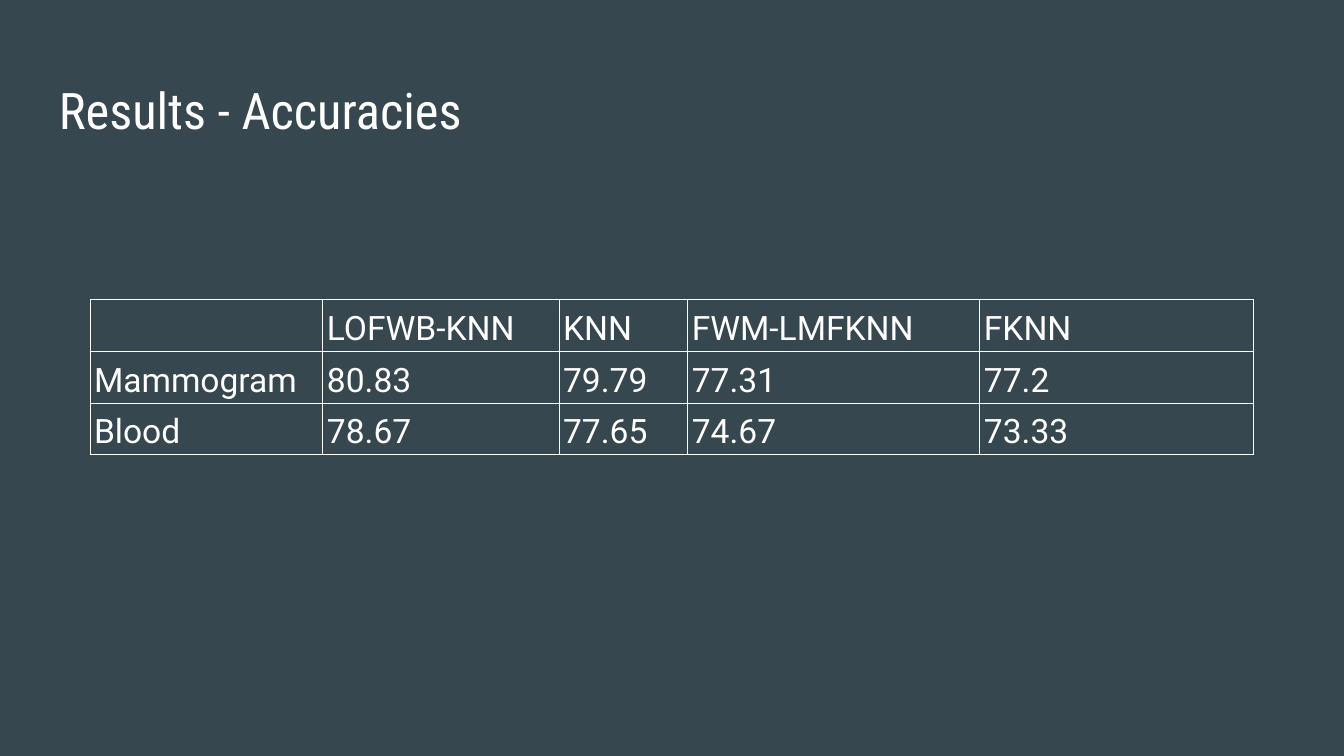
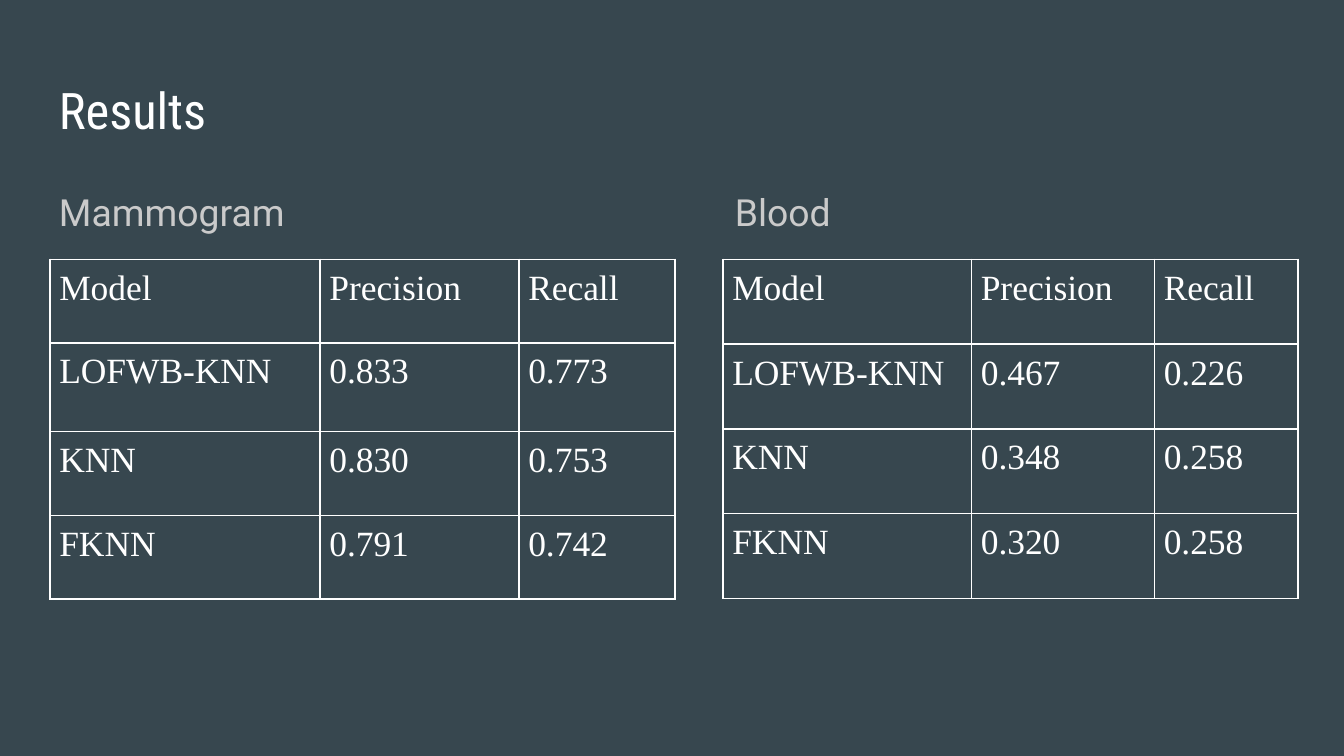
from dataclasses import dataclass

from lxml import etree
from pptx import Presentation
from pptx.dml.color import RGBColor
from pptx.enum import text
from pptx.oxml import ns
from pptx.util import Pt

ACCURACIES = [
    ("", "LOFWB-KNN", "KNN", "FWM-LMFKNN", "FKNN"),
    ("Mammogram", "80.83", "79.79", "77.31", "77.2"),
    ("Blood", "78.67", "77.65", "74.67", "73.33"),
]
SCORE_HEADER = ("Model", "Precision", "Recall")
MAMMOGRAM = [
    SCORE_HEADER,
    ("LOFWB-KNN", "0.833", "0.773"),
    ("KNN", "0.830", "0.753"),
    ("FKNN", "0.791", "0.742"),
]
BLOOD = [
    SCORE_HEADER,
    ("LOFWB-KNN", "0.467", "0.226"),
    ("KNN", "0.348", "0.258"),
    ("FKNN", "0.320", "0.258"),
]
# heading, heading left, table left, column widths, row heights, rows
SCORES = [
    ("Mammogram", 24.5, 26.8, (144.7, 106.6, 83.5), (44.8, 47.5, 44.8, 44.8), MAMMOGRAM),
    ("Blood", 386.6, 387.3, (133.2, 98, 77), (45.4,) * 4, BLOOD),
]


@dataclass(frozen=True)
class Style:
    font: str
    size: float
    color: str
    line_spacing: float = 1.0
    space_after: float = 0


@dataclass(frozen=True)
class TableStyle:
    text: Style
    border: float
    inset_x: float
    inset_y: float
    anchor: text.MSO_ANCHOR


@dataclass(frozen=True)
class Theme:
    background: str = "37474F"
    line: str = "FFFFFF"
    inset: float = 7.2
    title: Style = Style("Roboto Condensed", 27, "FFFFFF")
    heading: Style = Style("Roboto", 20, "CACACA", 1.15, 12)
    accuracies: TableStyle = TableStyle(
        Style("Roboto", 18, "FFFFFF", 1.15), 0.5, 2.2, 1.4, text.MSO_ANCHOR.BOTTOM)
    scores: TableStyle = TableStyle(
        Style("Times New Roman", 19, "FFFFFF"), 1, 5, 5, text.MSO_ANCHOR.TOP)


THEME = Theme()
NO_TABLE_STYLE = "{2D5ABB26-0587-4C30-8999-92F81FD0307C}"


def set_margins(box, x, y):
    box.margin_left = box.margin_right = Pt(x)
    box.margin_top = box.margin_bottom = Pt(y)


def write(tf, content, style):
    p = tf.paragraphs[0]
    p.line_spacing = style.line_spacing
    p.space_after = Pt(style.space_after)
    r = p.add_run()
    r.text = content
    r.font.name = style.font
    r.font.size = Pt(style.size)
    r.font.color.rgb = RGBColor.from_string(style.color)


def add_text(s, content, style, left, top, width, height):
    tf = s.shapes.add_textbox(Pt(left), Pt(top), Pt(width), Pt(height)).text_frame
    tf.word_wrap = True
    set_margins(tf, THEME.inset, THEME.inset)
    write(tf, content, style)


def add_borders(cell, width):
    """Outline all four sides; border lines must come before the cell's fill."""
    tc_pr = cell.fill._xPr
    for i, side in enumerate("LRTB"):
        ln = etree.Element(ns.qn(f"a:ln{side}"), w=str(Pt(width)))
        fill = etree.SubElement(ln, ns.qn("a:solidFill"))
        etree.SubElement(fill, ns.qn("a:srgbClr"), val=THEME.line)
        tc_pr.insert(i, ln)


def add_grid(s, rows, style, left, top, widths, heights):
    table = s.shapes.add_table(len(rows), len(widths), Pt(left), Pt(top),
                               Pt(sum(widths)), Pt(sum(heights))).table
    table.first_row = table.horz_banding = False
    table._tbl.tblPr.find(ns.qn("a:tableStyleId")).text = NO_TABLE_STYLE
    for column, width in zip(table.columns, widths):
        column.width = Pt(width)
    for row, height, values in zip(table.rows, heights, rows):
        row.height = Pt(height)
        for cell, value in zip(row.cells, values):
            set_margins(cell, style.inset_x, style.inset_y)
            cell.vertical_anchor = style.anchor
            cell.fill.background()
            add_borders(cell, style.border)
            write(cell.text_frame, value, style.text)


def add_slide(prs, title):
    s = prs.slides.add_slide(prs.slide_layouts[6])
    s.background.fill.solid()
    s.background.fill.fore_color.rgb = RGBColor.from_string(THEME.background)
    add_text(s, title, THEME.title, 24.5, 35.3, 671, 45.4)
    return s


def main():
    prs = Presentation()
    prs.slide_width, prs.slide_height = Pt(720), Pt(405)

    s = add_slide(prs, "Results - Accuracies")
    add_grid(s, ACCURACIES, THEME.accuracies, 48.2, 160.6,
             (124.8, 126.5, 69, 156.5, 146.5), (17.3,) * 3)

    s = add_slide(prs, "Results")
    for heading, heading_left, left, widths, heights, rows in SCORES:
        add_grid(s, rows, THEME.scores, left, 139, widths, heights)
        add_text(s, heading, THEME.heading, heading_left, 90.7, 314.6, 81.4)

    prs.save("out.pptx")


if __name__ == "__main__":
    main()
